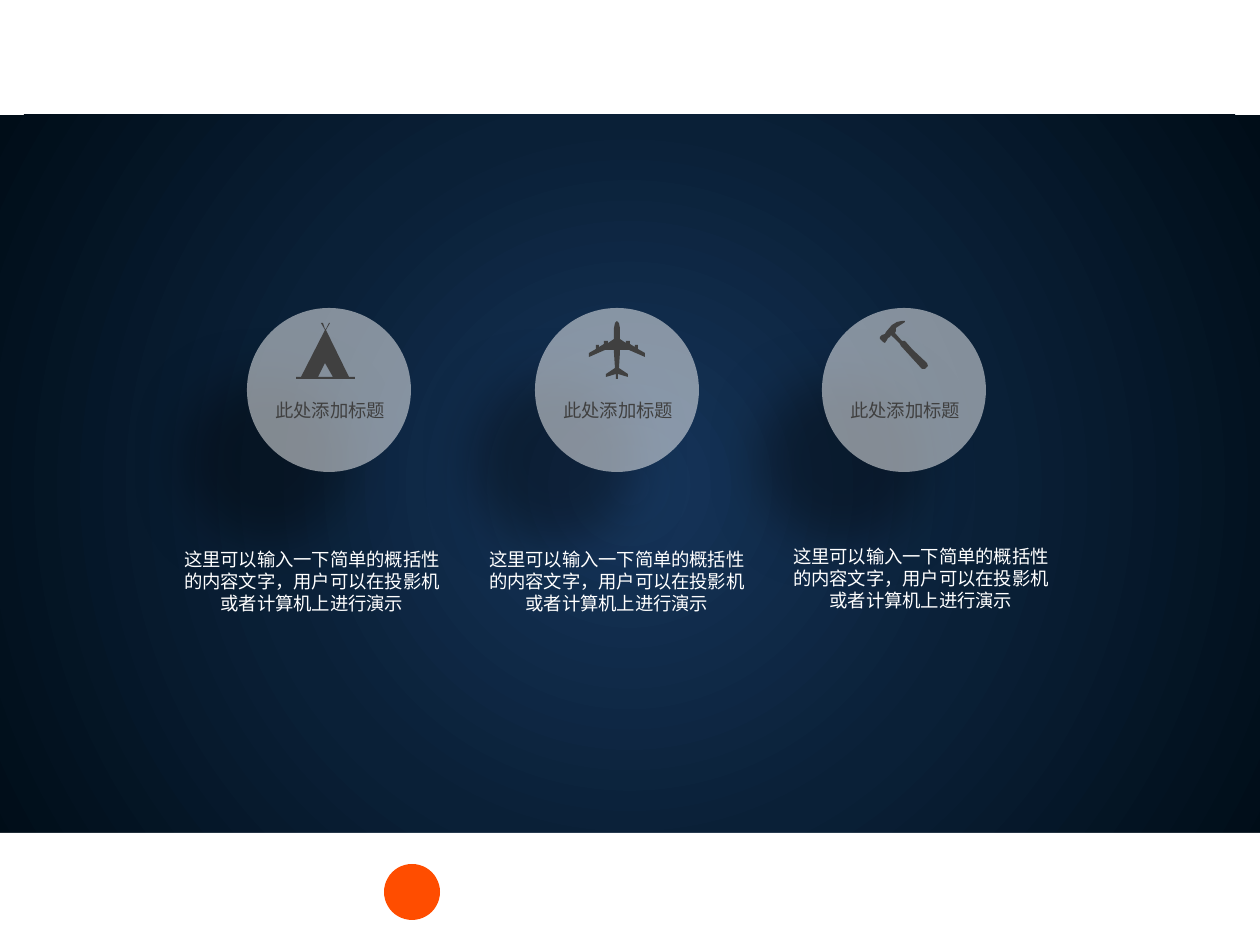
from pptx import Presentation
from pptx import util as u
from pptx.dml.color import RGBColor
from pptx.enum import shapes, text
from pptx.oxml import parse_xml
from pptx.oxml import ns

SCALE = 914400 / 126
FONT = "Noto Sans CJK SC"
COLORS = {
    "white": "FFFFFF",
    "ink": "404040",
    "shadow": "000000",
    "badge": "FF4D00",
    "glow": "16355B",
    "navy": "0A2037",
    "night": "000D18",
}
TITLE = "此处添加标题"
CAPTION = "这里可以输入一下简单的概括性的内容文字，用户可以在投影机或者计算机上进行演示"

TENT = [
    [(349, 377), (326, 330), (330, 323), (329, 323), (326, 329), (325, 329),
     (323, 323), (321, 323), (325, 330), (301, 377), (296, 377), (296, 379),
     (355, 379), (355, 377)],
    [(318, 377), (325, 363), (333, 377)],
]
PLANE_AXIS = 617
PLANE_HALF = [
    (0, 321), (2, 323), (3, 328), (3, 339), (9, 343), (9, 341), (13, 341),
    (13, 344), (18, 347), (18, 345), (21, 345), (21, 349), (28, 353),
    (28, 357), (12, 350), (3, 350), (3, 353), (2, 368), (11, 374),
    (11, 377), (1, 374), (1, 379),
]
PLANE = [
    [(PLANE_AXIS + x, y) for x, y in PLANE_HALF]
    + [(PLANE_AXIS - x, y) for x, y in reversed(PLANE_HALF)]
]
HAMMER = [
    [(905, 322), (896, 328), (896, 331), (895, 333), (902, 341), (905, 341),
     (913, 350), (927, 363), (928, 366), (925, 369), (922, 369), (901, 346),
     (900, 344), (891, 335), (890, 337), (888, 338), (887, 340), (885, 343),
     (883, 342), (880, 339), (880, 337), (882, 335), (885, 334), (886, 332),
     (892, 325), (897, 322), (902, 321), (905, 321)],
]
COLUMNS = [
    (247, TENT, 170, 542),
    (535, PLANE, 475, 542),
    (822, HAMMER, 779, 539),
]


def px(value):
    return u.Emu(round(value * SCALE))


def paint(shape, color):
    shape.shadow.inherit = False
    shape.fill.solid()
    shape.fill.fore_color.rgb = RGBColor.from_string(COLORS[color])
    shape.line.fill.background()


def add_block(slide, kind, left, top, width, height, color):
    shape = slide.shapes.add_shape(kind, px(left), px(top), px(width), px(height))
    paint(shape, color)
    return shape


def add_backdrop(slide):
    shape = add_block(slide, shapes.MSO_SHAPE.RECTANGLE, -3, 115, 1265, 741, "night")
    shape.fill.gradient()
    stops = "".join(
        f'<a:gs pos="{position}"><a:srgbClr val="{COLORS[name]}"/></a:gs>'
        for position, name in [(0, "glow"), (50000, "navy"), (100000, "night")]
    )
    gradient = parse_xml(
        f'<a:gradFill {ns.nsdecls("a")} rotWithShape="1"><a:gsLst>{stops}</a:gsLst>'
        '<a:path path="circle"><a:fillToRect l="50000" t="50000" r="50000" b="50000"/>'
        "</a:path></a:gradFill>"
    )
    properties = shape._element.spPr
    properties.replace(properties.find(ns.qn("a:gradFill")), gradient)


def add_disc(slide, left):
    shape = add_block(slide, shapes.MSO_SHAPE.OVAL, left, 308, 164, 164, "white")
    properties = shape._element.spPr
    fill_color = properties.find(f"{ns.qn('a:solidFill')}/{ns.qn('a:srgbClr')}")
    fill_color.append(parse_xml(f'<a:alpha {ns.nsdecls("a")} val="50000"/>'))
    properties.find(ns.qn("a:effectLst")).append(parse_xml(
        f'<a:outerShdw {ns.nsdecls("a")} blurRad="{u.Pt(30)}" dist="{u.Pt(53)}" '
        f'dir="{132 * 60000}" algn="ctr" rotWithShape="0">'
        f'<a:srgbClr val="{COLORS["shadow"]}"><a:alpha val="67000"/></a:srgbClr>'
        "</a:outerShdw>"
    ))


def add_icon(slide, contours):
    first, *others = contours
    builder = slide.shapes.build_freeform(*first[0], scale=SCALE)
    builder.add_line_segments(first[1:], close=True)
    for contour in others:
        builder.move_to(*contour[0])
        builder.add_line_segments(contour[1:], close=True)
    paint(builder.convert_to_shape(), "ink")


def add_text(slide, content, left, top, width, height, color="white",
             align=text.PP_ALIGN.LEFT, wrap=True, size=10.5, spacing=12.6):
    box = slide.shapes.add_textbox(px(left), px(top), px(width), px(height))
    box.text_frame.word_wrap = wrap
    paragraph = box.text_frame.paragraphs[0]
    paragraph.alignment = align
    paragraph.line_spacing = u.Pt(spacing)
    run = paragraph.add_run()
    run.text = content
    run.font.size = u.Pt(size)
    run.font.name = FONT
    run.font.color.rgb = RGBColor.from_string(COLORS[color])
    run.font._element.append(parse_xml(f'<a:ea {ns.nsdecls("a")} typeface="{FONT}"/>'))


def main():
    presentation = Presentation()
    presentation.slide_width = px(1260)
    presentation.slide_height = px(945)
    slide = presentation.slides.add_slide(presentation.slide_layouts[6])

    add_backdrop(slide)
    add_block(slide, shapes.MSO_SHAPE.RECTANGLE, -1, 833, 1266, 112, "white")
    add_block(slide, shapes.MSO_SHAPE.OVAL, 384, 864, 56, 56, "badge")

    for disc_left, icon, caption_left, caption_top in COLUMNS:
        add_disc(slide, disc_left)
        add_icon(slide, icon)
        add_text(slide, TITLE, disc_left + 16, 393, 137, 35, color="ink", wrap=False)
        add_text(slide, CAPTION, caption_left, caption_top, 284, 79,
                 align=text.PP_ALIGN.CENTER)

    presentation.save("out.pptx")


if __name__ == "__main__":
    main()
